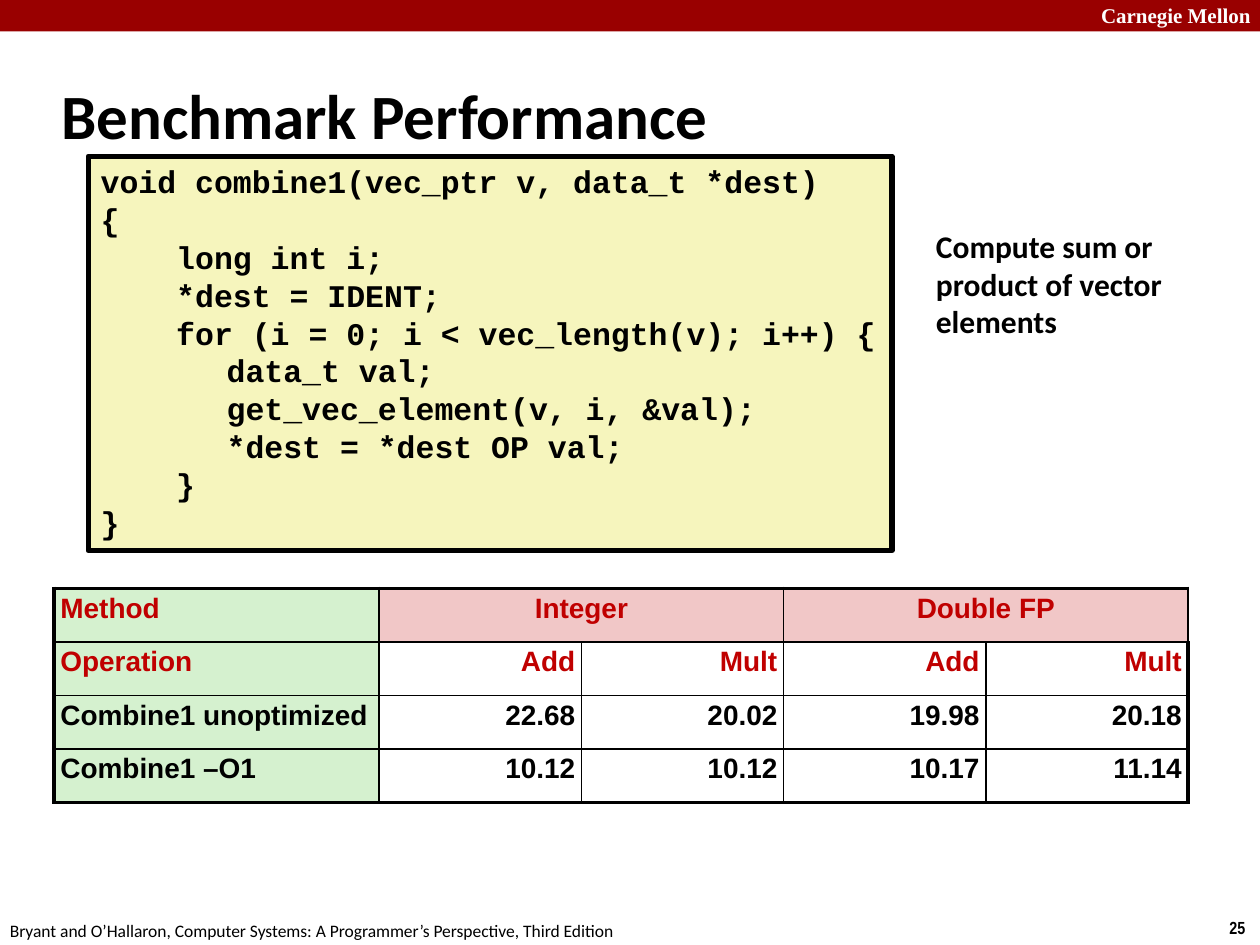
from dataclasses import dataclass

from lxml.etree import SubElement
from pptx import Presentation
from pptx.dml.color import RGBColor
from pptx.enum.shapes import MSO_SHAPE
from pptx.enum.text import MSO_ANCHOR, PP_ALIGN
from pptx.oxml import parse_xml
from pptx.oxml.ns import nsdecls, qn
from pptx.util import Inches, Pt


@dataclass(frozen=True)
class Theme:
    banner: str = "990000"
    code_fill: str = "F6F5BD"
    label_fill: str = "D5F1CF"
    group_fill: str = "F1C7C7"
    heading: str = "C00000"
    ink: str = "000000"
    paper: str = "FFFFFF"
    thin: float = 1
    thick: float = 2.25
    code_line: float = 3
    small: int = 10
    school: int = 12
    cell: int = 16
    body: int = 18
    title: int = 36


THEME = Theme()

# text, (left, top, width, height), font, size, colour, bold, wrap, anchor
LABELS = [
    ("Carnegie Mellon", (8.64, -0.03, 1.43, 0.3), "Times New Roman",
     THEME.school, THEME.paper, True, True, MSO_ANCHOR.TOP),
    ("25", (9.66, 7.23, 0.34, 0.27), "Arial Narrow",
     THEME.small, THEME.ink, True, False, MSO_ANCHOR.TOP),
    ("Bryant and O’Hallaron, Computer Systems: A Programmer’s Perspective, Third Edition",
     (-0.02, 7.25, 5.08, 0.27), "Calibri",
     THEME.small, THEME.ink, False, False, MSO_ANCHOR.TOP),
    ("Benchmark Performance", (0.39, 0.49, 8.3, 0.83), "Calibri",
     THEME.title, THEME.ink, True, True, MSO_ANCHOR.MIDDLE),
    ("Compute sum or product of vector elements", (7.33, 1.75, 2.67, 1.01), "Calibri",
     THEME.body, THEME.ink, True, True, MSO_ANCHOR.TOP),
]

CODE = [
    "void combine1(vec_ptr v, data_t *dest)",
    "{",
    "    long int i;",
    "    *dest = IDENT;",
    "    for (i = 0; i < vec_length(v); i++) {",
    "\tdata_t val;",
    "\tget_vec_element(v, i, &val);",
    "\t*dest = *dest OP val;",
    "    }",
    "}",
]
CODE_AREA = (0.7, 1.24, 6.38, 3.13)
CODE_TABS = (1, 2.5)

RESULTS = [
    ["Method", "Integer", None, "Double FP", None],
    ["Operation", "Add", "Mult", "Add", "Mult"],
    ["Combine1 unoptimized", "22.68", "20.02", "19.98", "20.18"],
    ["Combine1 –O1", "10.12", "10.12", "10.17", "11.14"],
]
HEADING_ROWS = 2
RESULTS_AREA = (0.43, 4.67, 9, 1.7)
LABEL_WIDTH = 2.58


def inches(area):
    return [Inches(value) for value in area]


def style(font, name, size, colour, bold=True):
    settings = {"name": name, "size": Pt(size), "bold": bold}
    for key, value in settings.items():
        setattr(font, key, value)
    font.color.rgb = RGBColor.from_string(colour)


def paint(target, colour):
    target.fill.solid()
    target.fill.fore_color.rgb = RGBColor.from_string(colour)


def add_rectangle(page, area, colour):
    box = page.shapes.add_shape(MSO_SHAPE.RECTANGLE, *inches(area))
    box.shadow.inherit = False
    paint(box, colour)
    box.line.fill.background()
    return box


def add_label(page, text, area, font, size, colour, bold, wrap, anchor):
    frame = page.shapes.add_textbox(*inches(area)).text_frame
    frame.word_wrap = wrap
    frame.vertical_anchor = anchor
    para = frame.paragraphs[0]
    span = para.add_run()
    span.text = text
    style(span.font, font, size, colour, bold)


def add_code(page):
    box = add_rectangle(page, CODE_AREA, THEME.code_fill)
    box.line.color.rgb = RGBColor.from_string(THEME.ink)
    box.line.width = Pt(THEME.code_line)
    frame = box.text_frame
    frame.word_wrap = False
    frame.vertical_anchor = MSO_ANCHOR.TOP
    for index, line in enumerate(CODE):
        para = frame.add_paragraph() if index else frame.paragraphs[0]
        para.alignment = PP_ALIGN.LEFT
        tabs = SubElement(para._p.get_or_add_pPr(), qn("a:tabLst"))
        for stop in CODE_TABS:
            SubElement(tabs, qn("a:tab"), pos=str(Inches(stop)), algn="l")
        span = para.add_run()
        span.text = line
        style(span.font, "Courier New", THEME.body, THEME.ink)


def set_borders(cell, outer_sides):
    """Draw all four sides, with the table's outer sides thick."""
    properties = cell._tc.get_or_add_tcPr()
    for index, side in enumerate("LRTB"):
        width = Pt(THEME.thick if side in outer_sides else THEME.thin)
        properties.insert(index, parse_xml(
            f'<a:ln{side} {nsdecls("a")} w="{width}"><a:solidFill>'
            f'<a:srgbClr val="{THEME.ink}"/></a:solidFill></a:ln{side}>'))


def add_results(page):
    rows, columns = len(RESULTS), len(RESULTS[0])
    table = page.shapes.add_table(rows, columns, *inches(RESULTS_AREA)).table
    table.first_row = table.horz_banding = False
    value_width = (RESULTS_AREA[2] - LABEL_WIDTH) / (columns - 1)
    for index, column in enumerate(table.columns):
        column.width = Inches(value_width if index else LABEL_WIDTH)

    for r, record in enumerate(RESULTS):
        for c, text in enumerate(record):
            cell = table.cell(r, c)
            edges = {"L": c == 0, "R": c == columns - 1, "T": r == 0, "B": r == rows - 1}
            if c == 0:
                fill, alignment = THEME.label_fill, PP_ALIGN.LEFT
            elif r == 0:
                fill, alignment = THEME.group_fill, PP_ALIGN.CENTER
            else:
                fill, alignment = THEME.paper, PP_ALIGN.RIGHT
            paint(cell, fill)
            set_borders(cell, {side for side, outer in edges.items() if outer})
            for side in ("left", "right", "top", "bottom"):
                setattr(cell, f"margin_{side}", Inches(0.05))
            if text is None:
                table.cell(r, c - 1).merge(cell)
                continue
            para = cell.text_frame.paragraphs[0]
            para.alignment = alignment
            para.line_spacing = 0.95
            span = para.add_run()
            span.text = text
            colour = THEME.heading if r < HEADING_ROWS else THEME.ink
            style(span.font, "Arial", THEME.cell, colour)


def main():
    deck = Presentation()
    deck.slide_width, deck.slide_height = Inches(10), Inches(7.5)
    page = deck.slides.add_slide(deck.slide_layouts[6])
    add_rectangle(page, (0, 0, 10, 0.25), THEME.banner)
    for label in LABELS:
        add_label(page, *label)
    add_code(page)
    add_results(page)
    deck.save("out.pptx")


if __name__ == "__main__":
    main()
